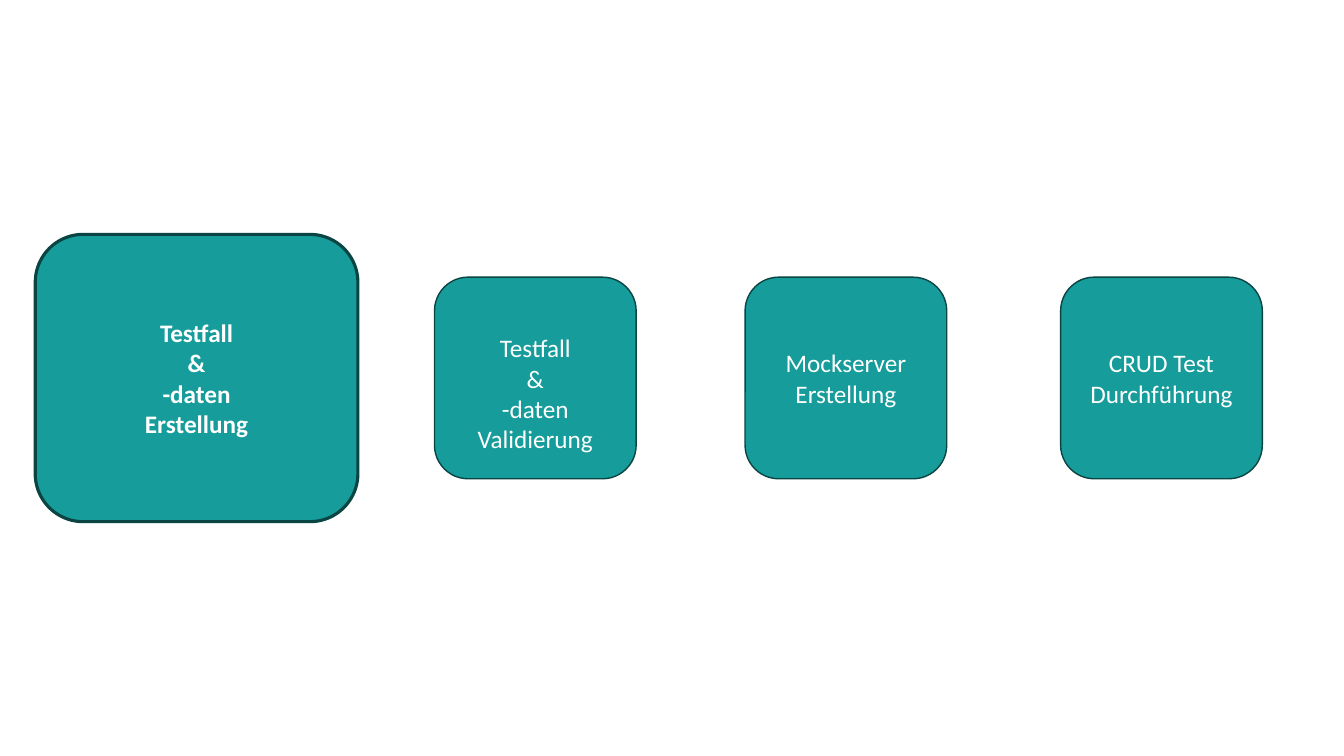
from pptx import Presentation
from pptx.dml.color import RGBColor
from pptx.enum import shapes, text
from pptx.util import Inches, Pt

COLORS = {"fill": "169C9A", "line": "0A4443", "text": "FFFFFF"}
MIDDLE = 3.75

STEPS = [
    {"left": 0.35, "size": (3.2, 2.85), "line": 2.25, "bold": True, "top_inset": 0.05,
     "lines": ["Testfall", "&", "-daten", "Erstellung"]},
    {"left": 4.31, "size": (2, 2), "line": 1, "bold": False, "top_inset": 0.35,
     "lines": ["Testfall", "&", "-daten", "Validierung"]},
    {"left": 7.39, "size": (2, 2), "line": 1, "bold": False, "top_inset": 0.05,
     "lines": ["Mockserver", "Erstellung"]},
    {"left": 10.52, "size": (2, 2), "line": 1, "bold": False, "top_inset": 0.05,
     "lines": ["CRUD Test", "Durchführung"]},
]

deck = Presentation()
deck.slide_width = Inches(13.33)
deck.slide_height = Inches(7.5)
page = deck.slides.add_slide(deck.slide_layouts[6])

for step in STEPS:
    width, height = step["size"]
    box = page.shapes.add_shape(
        shapes.MSO_SHAPE.ROUNDED_RECTANGLE,
        Inches(step["left"]), Inches(MIDDLE - height / 2), Inches(width), Inches(height))
    box.shadow.inherit = False
    box.fill.solid()
    box.fill.fore_color.rgb = RGBColor.from_string(COLORS["fill"])
    box.line.color.rgb = RGBColor.from_string(COLORS["line"])
    box.line.width = Pt(step["line"])

    frame = box.text_frame
    frame.word_wrap = True
    frame.vertical_anchor = text.MSO_ANCHOR.MIDDLE
    frame.margin_top = Inches(step["top_inset"])
    for index, line in enumerate(step["lines"]):
        para = frame.add_paragraph() if index else frame.paragraphs[0]
        para.text = line
        para.alignment = text.PP_ALIGN.CENTER
        para.font.name = "Calibri"
        para.font.size = Pt(18)
        para.font.bold = step["bold"]
        para.font.color.rgb = RGBColor.from_string(COLORS["text"])

deck.save("out.pptx")
